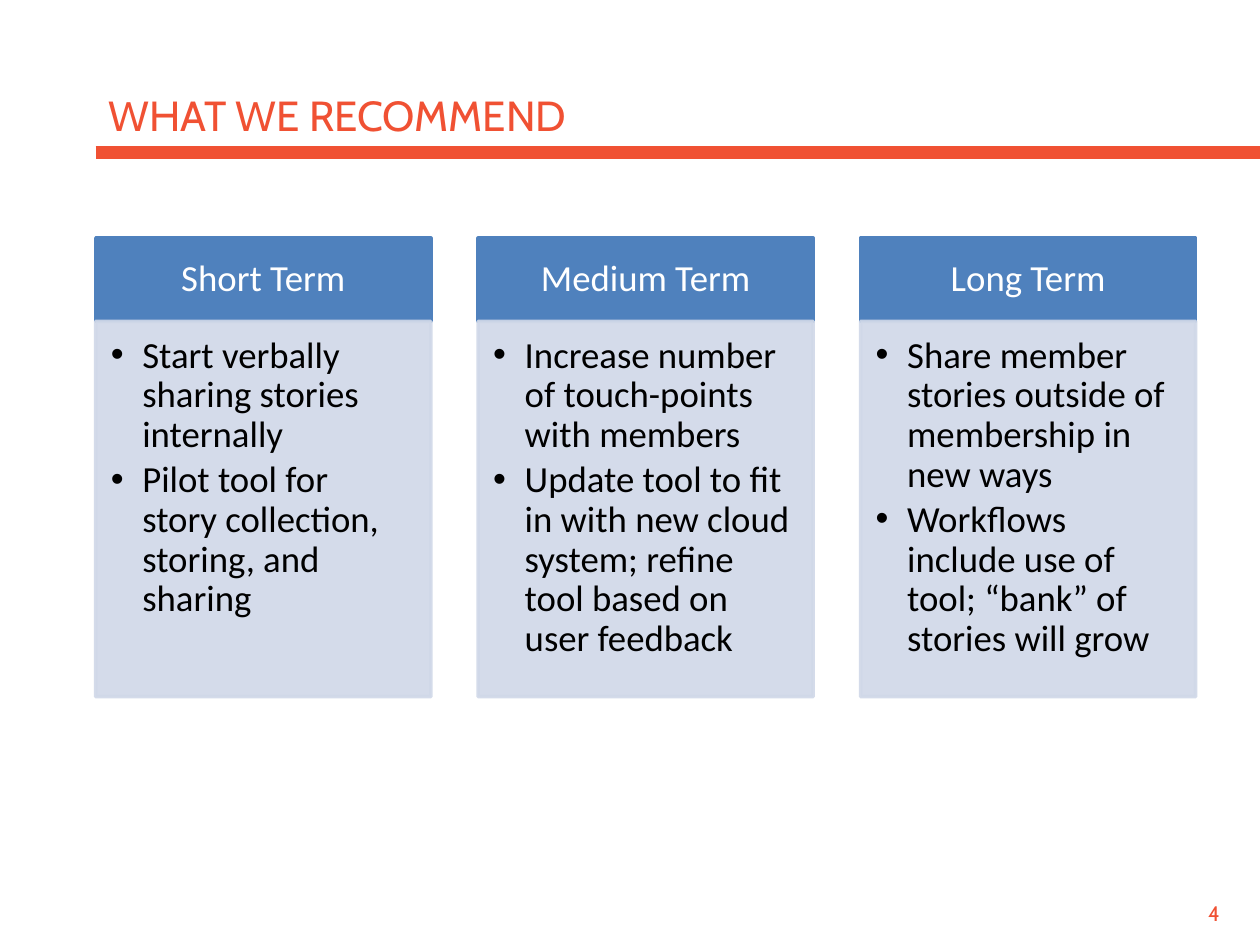
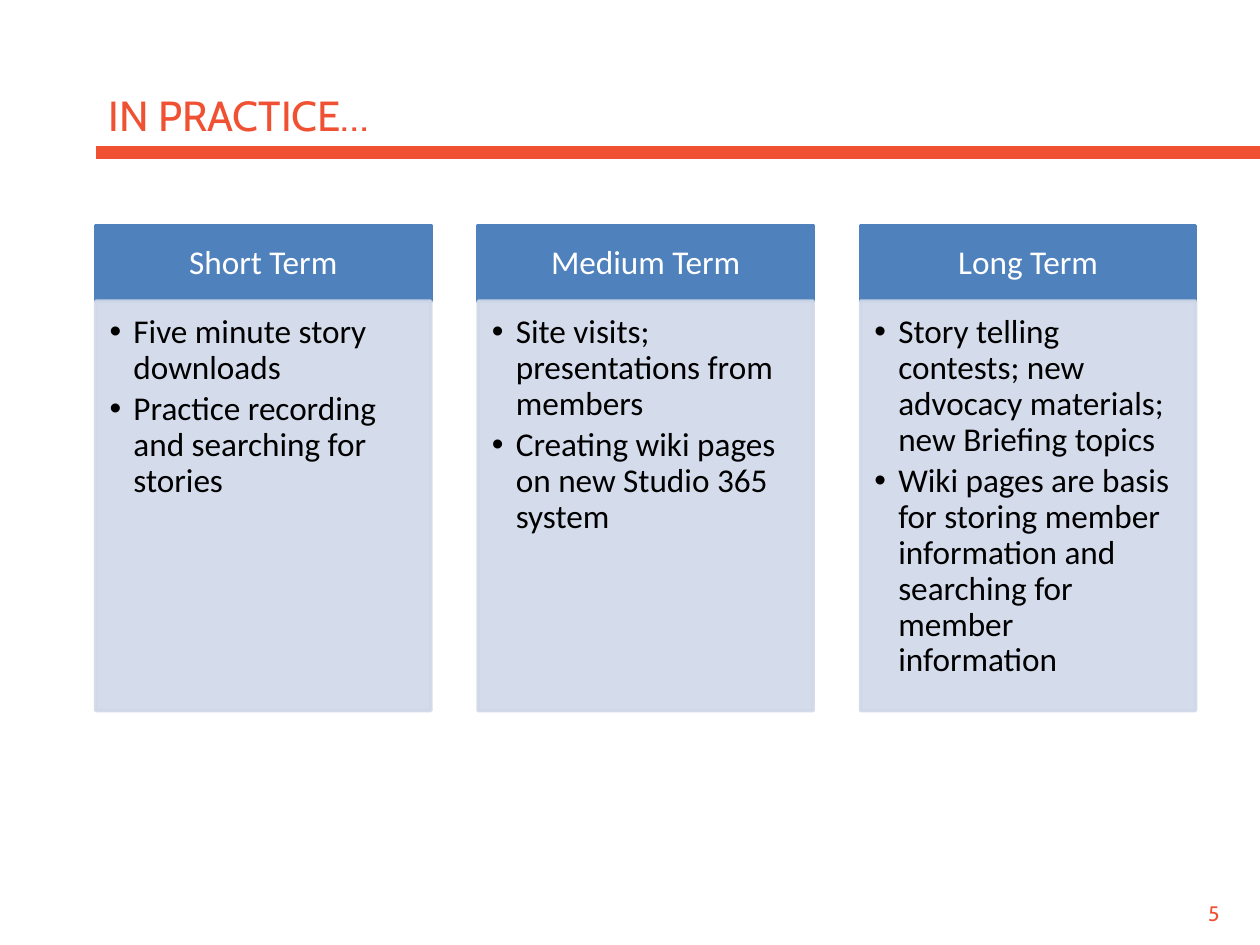
from lxml import etree
from pptx import Presentation
from pptx.dml.color import RGBColor
from pptx.enum.shapes import MSO_CONNECTOR, MSO_SHAPE
from pptx.enum.text import MSO_ANCHOR, MSO_AUTO_SIZE, PP_ALIGN
from pptx.oxml.ns import qn
from pptx.util import Inches, Pt

ORANGE = RGBColor(0xF0, 0x51, 0x33)
BLUE = RGBColor(0x4F, 0x81, 0xBD)
PALE = RGBColor(0xD0, 0xD8, 0xE8)
WHITE = RGBColor(0xFF, 0xFF, 0xFF)
BLACK = RGBColor(0x00, 0x00, 0x00)
HEAD_FONT, BODY_FONT = "Cabin", "Calibri"

TERMS = ["Short Term", "Medium Term", "Long Term"]
SLIDES = [
    dict(title="WHAT WE RECOMMEND", number=4, top=1.89, head=0.66, body=2.98,
         size=21, indent=0.25,
         head_pad=(0.16, 0.09, 0.16, 0.09), body_pad=(0.12, 0.12, 0.16, 0.18),
         lists=[
             ["Start verbally sharing stories internally",
              "Pilot tool for story collection, storing, and sharing"],
             ["Increase number of touch-points with members",
              "Update tool to fit in with new cloud system; refine tool based on "
              "user feedback"],
             ["Share member stories outside of membership in new ways",
              "Workflows include use of tool; “bank” of stories will grow"],
         ]),
    dict(title="IN PRACTICE…", number=5, top=1.79, head=0.6, body=3.25,
         size=19, indent=0.19,
         head_pad=(0.15, 0.08, 0.15, 0.08), body_pad=(0.11, 0.11, 0.15, 0.17),
         lists=[
             ["Five minute story downloads",
              "Practice recording and searching for stories"],
             ["Site visits; presentations from members",
              "Creating wiki pages on new Studio 365 system"],
             ["Story telling contests; new advocacy materials; new Briefing topics",
              "Wiki pages are basis for storing member information and searching "
              "for member information"],
         ]),
]

LEFT, COL_W, COL_STEP = 0.76, 2.66, 3.035


def add_run(p, text, font, size, color):
    r = p.add_run()
    r.text = text
    r.font.name, r.font.size, r.font.color.rgb = font, Pt(size), color


def add_frame(s, title, number):
    rule = s.shapes.add_connector(MSO_CONNECTOR.STRAIGHT, Inches(LEFT), Inches(1.21),
                                  Inches(10), Inches(1.21))
    rule.line.color.rgb, rule.line.width = ORANGE, Pt(7)
    etree.SubElement(rule._element.spPr, qn("a:effectLst"))

    box = s.shapes.add_textbox(Inches(9.49), Inches(7.1), Inches(0.65), Inches(0.3))
    box.text_frame.word_wrap = True
    add_run(box.text_frame.paragraphs[0], str(number), HEAD_FONT, 12, ORANGE)

    sp = s.shapes.title
    sp.left, sp.top, sp.width, sp.height = map(Inches, (LEFT, 0.66, 5.62, 0.55))
    tf = sp.text_frame
    tf.auto_size, tf.vertical_anchor = MSO_AUTO_SIZE.NONE, MSO_ANCHOR.TOP
    p = tf.paragraphs[0]
    p.alignment = PP_ALIGN.LEFT
    add_run(p, title, HEAD_FONT, 24, ORANGE)


def set_alpha(sp, percent):
    for color in sp._element.spPr.iter(qn("a:srgbClr")):
        etree.SubElement(color, qn("a:alpha"), val=str(percent * 1000))


def add_box(s, left, top, height, color, pad, anchor):
    sp = s.shapes.add_shape(MSO_SHAPE.RECTANGLE, Inches(left), Inches(top),
                            Inches(COL_W), Inches(height))
    sp.shadow.inherit = False
    sp.fill.solid()
    sp.fill.fore_color.rgb = color
    sp.line.color.rgb, sp.line.width = color, Pt(2)
    tf = sp.text_frame
    tf.word_wrap, tf.vertical_anchor = True, anchor
    tf.margin_left, tf.margin_top, tf.margin_right, tf.margin_bottom = map(Inches, pad)
    return sp


def add_bullet(p, indent):
    pPr = p._p.get_or_add_pPr()
    pPr.set("marL", str(Inches(indent)))
    pPr.set("indent", str(-Inches(indent)))
    etree.SubElement(pPr, qn("a:buFont"), typeface="Arial")
    etree.SubElement(pPr, qn("a:buChar"), char="•")


def add_column(s, left, term, items, page):
    size = page["size"]
    head = add_box(s, left, page["top"], page["head"], BLUE, page["head_pad"],
                   MSO_ANCHOR.MIDDLE)
    p = head.text_frame.paragraphs[0]
    p.alignment, p.line_spacing = PP_ALIGN.CENTER, 0.9
    add_run(p, term, BODY_FONT, size, WHITE)

    body = add_box(s, left, page["top"] + page["head"], page["body"], PALE,
                   page["body_pad"], MSO_ANCHOR.TOP)
    set_alpha(body, 90)
    tf = body.text_frame
    for i, item in enumerate(items):
        p = tf.add_paragraph() if i else tf.paragraphs[0]
        p.alignment, p.line_spacing, p.space_after = PP_ALIGN.LEFT, 0.9, Pt(size * 0.15)
        add_bullet(p, page["indent"])
        add_run(p, item, BODY_FONT, size, BLACK)


prs = Presentation()
prs.slide_width, prs.slide_height = Inches(10), Inches(7.5)
for page in SLIDES:
    s = prs.slides.add_slide(prs.slide_layouts[5])
    add_frame(s, page["title"], page["number"])
    for i, (term, items) in enumerate(zip(TERMS, page["lists"])):
        add_column(s, LEFT + i * COL_STEP, term, items, page)
prs.save("out.pptx")
